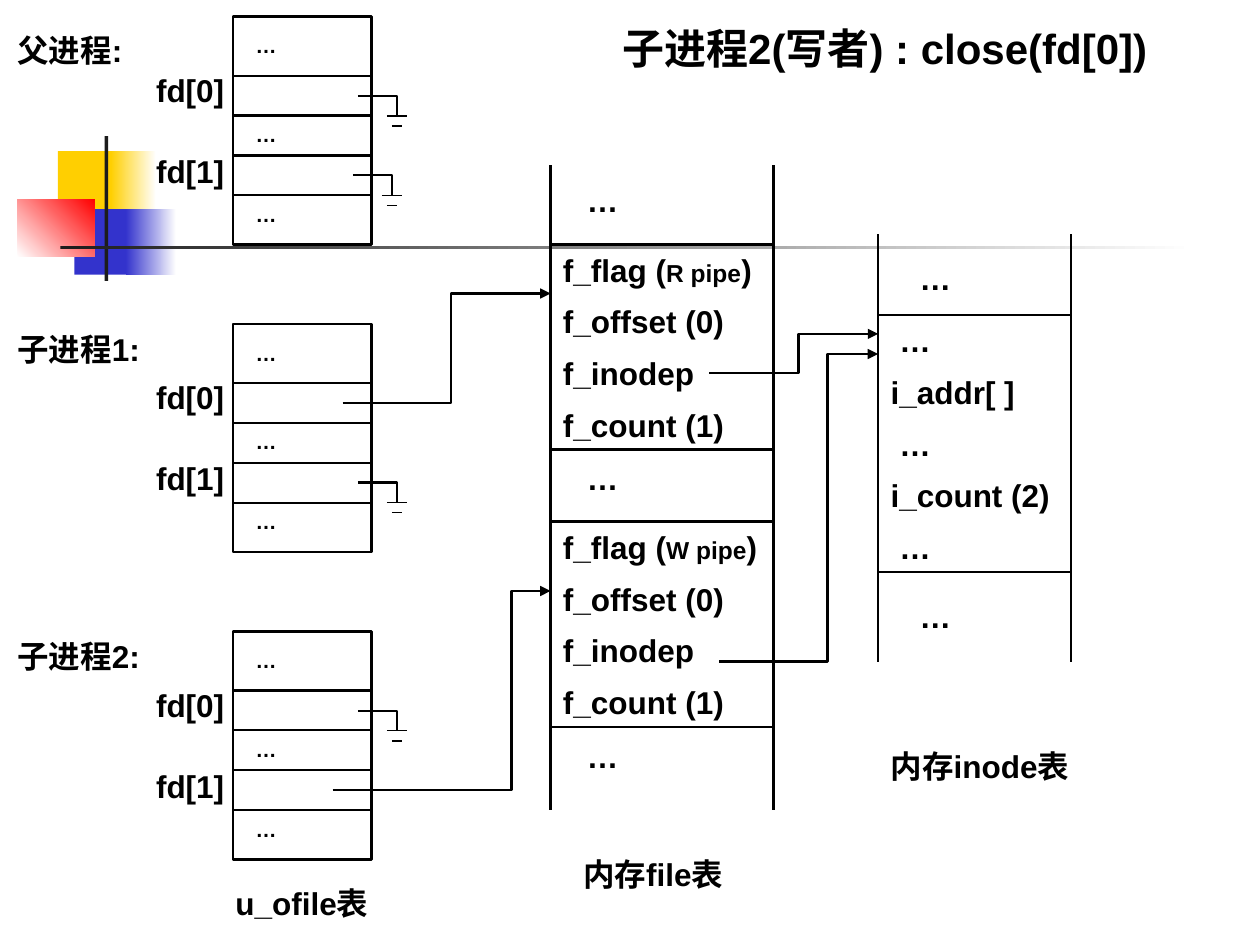
from pptx import Presentation
from pptx.dml.color import RGBColor
from pptx.enum.shapes import MSO_CONNECTOR, MSO_SHAPE
from pptx.oxml.ns import qn
from pptx.util import Inches, Pt
from lxml.etree import SubElement

BLACK = RGBColor(0x00, 0x00, 0x00)
WHITE = RGBColor(0xFF, 0xFF, 0xFF)
YELLOW = RGBColor(0xFF, 0xCF, 0x01)
BLUE = RGBColor(0x33, 0x33, 0xCC)
RED = RGBColor(0xFF, 0x00, 0x00)
DARK = RGBColor(0x1C, 0x1C, 0x1C)
FONT = "Arial"


def style(font, size):
    """Set the bold black face used all over the slide."""
    font.name, font.size, font.bold = FONT, Pt(size), True
    font.color.rgb = BLACK


def label(slide, x, y, w, h, text, size=18):
    """Add one wrapping piece of text."""
    frame = slide.shapes.add_textbox(Inches(x), Inches(y), Inches(w), Inches(h)).text_frame
    frame.word_wrap = True
    frame.text = text
    style(frame.paragraphs[0].font, size)


def block(slide, x, y, w, h):
    """Add a plain rectangle without shadow."""
    shape = slide.shapes.add_shape(
        MSO_SHAPE.RECTANGLE, Inches(x), Inches(y), Inches(w), Inches(h))
    shape.shadow.inherit = False
    return shape


def frame_box(slide, x, y, w, h):
    """Add an unfilled rectangle with a black outline."""
    shape = block(slide, x, y, w, h)
    shape.fill.background()
    shape.line.color.rgb = BLACK
    shape.line.width = Pt(1.5)
    return shape


def tint(slide, x, y, w, h, first, last=None, angle=0):
    """Add an unlined block in one colour or a gradient."""
    shape = block(slide, x, y, w, h)
    shape.line.fill.background()
    if last is None:
        shape.fill.solid()
        shape.fill.fore_color.rgb = first
        return
    shape.fill.gradient()
    shape.fill.gradient_angle = angle
    for stop, color in zip(shape.fill.gradient_stops, (first, last)):
        stop.color.rgb = color


def rule(slide, x1, y1, x2, y2, width):
    """Add a straight black line."""
    line = slide.shapes.add_connector(
        MSO_CONNECTOR.STRAIGHT, Inches(x1), Inches(y1), Inches(x2), Inches(y2))
    line.line.color.rgb = BLACK
    line.line.width = Pt(width)
    SubElement(line.element.spPr, qn("a:effectLst"))


def bent(slide, points, width=1.5, arrow=True):
    """Add an open bent line, with an arrowhead if wanted."""
    start, *rest = [(Inches(x), Inches(y)) for x, y in points]
    pen = slide.shapes.build_freeform(*start)
    pen.add_line_segments(rest, close=False)
    shape = pen.convert_to_shape()
    shape.shadow.inherit = False
    shape.fill.background()
    shape.line.color.rgb = BLACK
    shape.line.width = Pt(width)
    if arrow:
        SubElement(shape.element.spPr.find(qn("a:ln")), qn("a:tailEnd"), type="triangle")


def link(slide, x1, y1, mid, x2, y2):
    """Add an arrow that turns twice at the column mid."""
    bent(slide, [(x1, y1), (mid, y1), (mid, y2), (x2, y2)])


def ground(slide, x, y):
    """Add the ground sign of a closed descriptor."""
    end, low = x + 0.31, y + 0.16
    bent(slide, [(x, y), (end, y), (end, low)], 1.25, False)
    for half, drop in ((0.08, 0), (0.04, 0.08)):
        rule(slide, end - half, low + drop, end + half, low + drop, 0.75)


def decor(slide, x, y):
    """Draw the coloured squares and bars behind the diagram."""
    tint(slide, x + 0.32, y + 0.12, 0.48, 0.52, YELLOW)
    tint(slide, x + 0.74, y + 0.12, 0.36, 0.52, YELLOW, WHITE)
    tint(slide, x + 0.45, y + 0.58, 0.46, 0.52, BLUE)
    tint(slide, x + 0.86, y + 0.58, 0.4, 0.52, BLUE, WHITE)
    tint(slide, x, y + 0.5, 0.61, 0.46, WHITE, RED, 45)
    tint(slide, x + 0.69, y, 0.03, 1.15, DARK)
    tint(slide, x + 0.34, y + 0.87, 9, 0.03, DARK, WHITE)


def process(slide, x, y, name, width, height, closed):
    """Draw one process with its descriptor table."""
    label(slide, x - 1.81, y + (0.07 if height < 0.5 else 0), width, height, name)
    frame_box(slide, x, y, 1.1, 1.81)
    for row in range(4):
        line = y + 0.47 + row * 0.317
        rule(slide, x, line, x + 1.1, line, 1.25)
    for drop in (0.08, 0.785, 1.42):
        label(slide, x + 0.08, y + drop, 0.87, 0.3, "…", 12)
    for index in range(2):
        label(slide, x - 0.71, y + 0.385 + index * 0.64, 0.79, 0.4, f"fd[{index}]")
    for index, left in closed:
        ground(slide, x + left, y + 0.63 + index * 0.63)


def entry(slide, x, y, w, h, rows):
    """Draw a table entry; each row is an indent and its sized runs."""
    shape = frame_box(slide, x, y, w, h)
    frame = shape.text_frame
    frame.word_wrap = True
    for index, (indent, runs) in enumerate(rows):
        para = frame.paragraphs[0] if index == 0 else frame.add_paragraph()
        para.alignment = 1
        if index:
            para.space_before = Pt(7.9)
        if indent:
            para._p.get_or_add_pPr().set("marL", str(Inches(indent)))
        for text, size in runs:
            run = para.add_run()
            run.text = text
            if len(runs) > 1:
                style(run.font, size)
        if len(runs) == 1:
            style(para.font, runs[0][1])


def sides(slide, x, y, w, h):
    """Draw the two long edges of an open table."""
    for edge in (x, x + w):
        rule(slide, edge, y, edge, y + h, 1.5)


def files(slide, x, y, w, h):
    """Draw the table of open files."""
    sides(slide, x, y, w, h)
    for index in range(3):
        label(slide, x + 0.19, y + 0.08 + index * 2.205, 1.03, 0.4, "…")
    for index, mode in enumerate("RW"):
        rows = [(0, [("f_flag (", 18), (f"{mode} pipe", 14), (")", 18)])]
        rows += [(0, [(text, 18)]) for text in ("f_offset (0)", "f_inodep", "f_count (1)")]
        entry(slide, x, y + 0.63 + index * 2.2, w, 1.63, rows)
    label(slide, x + 0.16, y + 5.43, 1.42, 0.7, "内存file表")


def inodes(slide, x, y, w, h):
    """Draw the table of inodes."""
    sides(slide, x, y, w, h)
    for drop in (0.15, 2.83):
        label(slide, x + 0.23, y + drop, 0.94, 0.4, "…")
    texts = ("…", "i_addr[ ]", "…", "i_count (2)", "…")
    rows = [(0.07 if text == "…" else 0, [(text, 18)]) for text in texts]
    entry(slide, x, y + 0.64, w, 2.04, rows)
    label(slide, x, y + 4.02, 1.65, 0.7, "内存inode表")


def main():
    """Build the slide and save it."""
    deck = Presentation()
    deck.slide_width, deck.slide_height = Inches(10), Inches(7.5)
    slide = deck.slides.add_slide(deck.slide_layouts[6])
    decor(slide, 0.14, 1.08)
    label(slide, 4.84, 0.13, 4.8, 0.5, "子进程2(写者) : close(fd[0])", 24)
    tables = (
        ("父进程:", 1.1, 0.4, ((0, 0.99), (1, 0.95))),
        ("子进程1:", 1.18, 0.7, ((1, 0.99),)),
        ("子进程2:", 1.18, 0.7, ((0, 0.99),)),
    )
    for index, (name, width, height, closed) in enumerate(tables):
        process(slide, 1.85, 0.13 + index * 2.44, name, width, height, closed)
    label(slide, 1.77, 6.97, 1.42, 0.4, "u_ofile表")
    files(slide, 4.37, 1.31, 1.77, 5.12)
    inodes(slide, 6.97, 1.86, 1.53, 3.39)
    link(slide, 2.72, 3.2, 3.58, 4.37, 2.33)
    link(slide, 2.64, 6.27, 4.06, 4.37, 4.69)
    link(slide, 5.63, 2.96, 6.34, 6.97, 2.65)
    link(slide, 5.71, 5.25, 6.57, 6.97, 2.81)
    deck.save("out.pptx")


if __name__ == "__main__":
    main()
